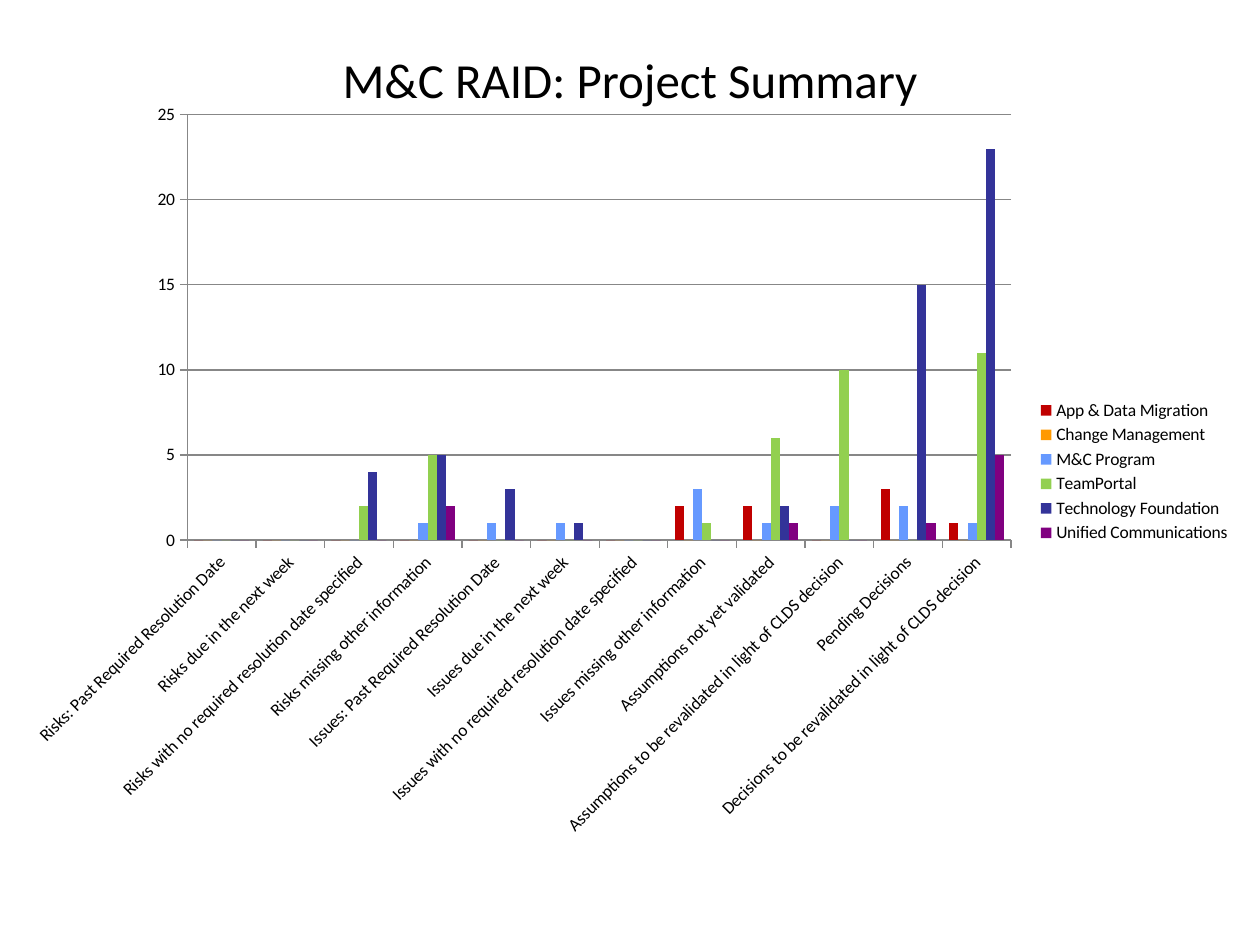
from lxml.etree import SubElement
from pptx import Presentation
from pptx.chart.data import CategoryChartData
from pptx.dml.color import RGBColor
from pptx.enum.chart import XL_CHART_TYPE, XL_LEGEND_POSITION, XL_TICK_MARK
from pptx.enum.text import MSO_ANCHOR, PP_ALIGN
from pptx.oxml import parse_xml
from pptx.oxml.ns import nsdecls, qn
from pptx.util import Inches, Pt

BLACK = RGBColor(0x00, 0x00, 0x00)
GRAY = RGBColor(0x87, 0x87, 0x87)
RED = RGBColor(0xC0, 0x00, 0x00)
ORANGE = RGBColor(0xFF, 0x99, 0x00)
BLUE = RGBColor(0x66, 0x99, 0xFF)
GREEN = RGBColor(0x92, 0xD0, 0x50)
NAVY = RGBColor(0x33, 0x33, 0x99)
PURPLE = RGBColor(0x80, 0x00, 0x80)
FONT = "Calibri"

CATEGORIES = [
    "Risks: Past Required Resolution Date",
    "Risks due in the next week",
    "Risks with no required resolution date specified",
    "Risks missing other information",
    "Issues: Past Required Resolution Date",
    "Issues due in the next week",
    "Issues with no required resolution date specified",
    "Issues missing other information",
    "Assumptions not yet validated",
    "Assumptions to be revalidated in light of CLDS decision",
    "Pending Decisions",
    "Decisions to be revalidated in light of CLDS decision",
]
WORKSTREAMS = [
    ("App & Data Migration", RED, [0, 0, 0, 0, 0, 0, 0, 2, 2, 0, 3, 1]),
    ("Change Management", ORANGE, [0] * 12),
    ("M&C Program", BLUE, [0, 0, 0, 1, 1, 1, 0, 3, 1, 2, 2, 1]),
    ("TeamPortal", GREEN, [0, 0, 2, 5, 0, 0, 0, 1, 6, 10, 0, 11]),
    ("Technology Foundation", NAVY, [0, 0, 4, 5, 3, 1, 0, 0, 2, 0, 15, 23]),
    ("Unified Communications", PURPLE, [0, 0, 0, 2, 0, 0, 0, 0, 1, 0, 1, 5]),
]


def manual_layout(x, y, width, height, inner=False):
    """Return a c:layout element placed by shares of the chart's size."""
    layout = parse_xml(f"<c:layout {nsdecls('c')}><c:manualLayout/></c:layout>")
    settings = [("layoutTarget", "inner")] if inner else []
    settings += [("xMode", "edge"), ("yMode", "edge"),
                 ("x", x), ("y", y), ("w", width), ("h", height)]
    for tag, value in settings:
        SubElement(layout[0], qn(f"c:{tag}")).set("val", str(value))
    return layout


presentation = Presentation()
presentation.slide_width, presentation.slide_height = Inches(10), Inches(7.5)
slide = presentation.slides.add_slide(presentation.slide_layouts[6])

# Chart
chart_data = CategoryChartData()
chart_data.categories = CATEGORIES
for name, _, values in WORKSTREAMS:
    chart_data.add_series(name, values)
chart = slide.shapes.add_chart(
    XL_CHART_TYPE.COLUMN_CLUSTERED, Inches(0.12), Inches(0.73),
    Inches(9.76), Inches(6.03), chart_data).chart
chart.has_title = False
chart.font.name, chart.font.size = FONT, Pt(10)
chart.font.color.rgb = BLACK

plot = chart.plots[0]
plot.gap_width, plot.overlap = 150, 0
plot.vary_by_categories = False
for series, (_, color, _) in zip(plot.series, WORKSTREAMS):
    series.format.fill.solid()
    series.format.fill.fore_color.rgb = color

for axis in (chart.category_axis, chart.value_axis):
    axis.major_tick_mark = XL_TICK_MARK.OUTSIDE
    axis.minor_tick_mark = XL_TICK_MARK.NONE
    axis.format.line.color.rgb = GRAY
    axis.tick_labels.font.size = Pt(10)
    axis.tick_labels.font.name = FONT
    axis.tick_labels.font.color.rgb = BLACK
label_body = chart.category_axis._element.find(f"{qn('c:txPr')}/{qn('a:bodyPr')}")
label_body.set("rot", str(-45 * 60000))
label_body.set("vert", "horz")
chart.value_axis.minimum_scale, chart.value_axis.maximum_scale = 0, 25
chart.value_axis.major_unit = 5
chart.value_axis.has_major_gridlines = True
chart.value_axis.major_gridlines.format.line.color.rgb = GRAY

chart.has_legend = True
legend = chart.legend
legend.position = XL_LEGEND_POSITION.RIGHT
legend.include_in_layout = False
legend.font.name, legend.font.size = FONT, Pt(10)
legend.font.color.rgb = BLACK

plot_area = chart._chartSpace.chart.plotArea
for parent, layout in (
        (plot_area, manual_layout(0.14, 0.03, 0.67, 0.56, inner=True)),
        (legend._element, manual_layout(0.83, 0.4, 0.16, 0.2))):
    for old_layout in parent.findall(qn("c:layout")):
        parent.remove(old_layout)
    parent.insert(0 if parent is plot_area else 1, layout)

# Title
title = slide.shapes.add_textbox(Inches(0.5), Inches(0.25), Inches(9), Inches(0.75))
text_frame = title.text_frame
text_frame.word_wrap = True
text_frame.vertical_anchor = MSO_ANCHOR.MIDDLE
text_frame.text = "M&C RAID: Project Summary"
paragraph = text_frame.paragraphs[0]
paragraph.alignment = PP_ALIGN.CENTER
paragraph.font.name, paragraph.font.size = FONT, Pt(28)
paragraph.font.color.rgb = BLACK

presentation.save("out.pptx")
